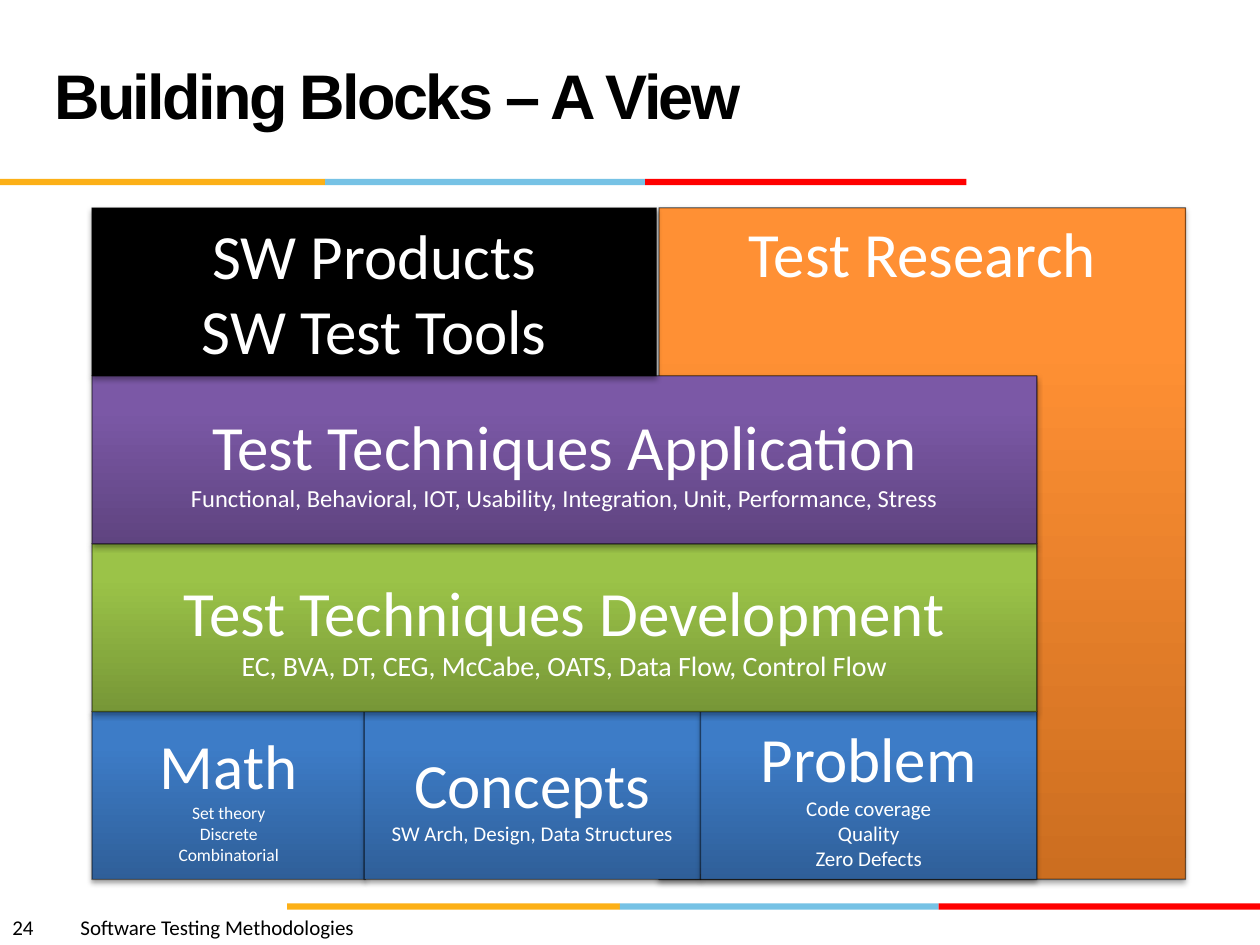
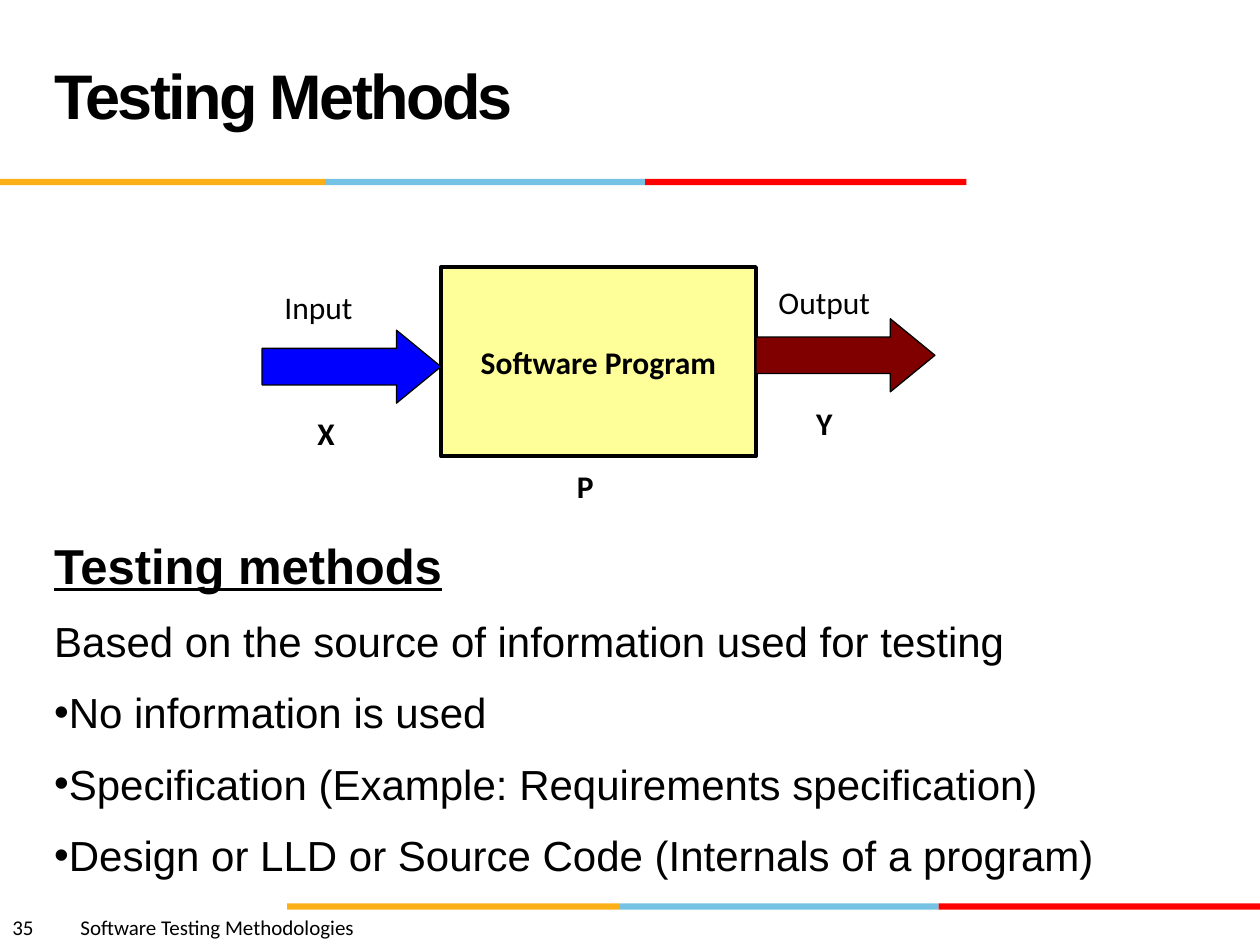
import pptx
import pptx.util
import pptx.dml.color
import pptx.enum.text
import pptx.enum.shapes
import pptx.oxml.ns
import lxml.etree

Inches = pptx.util.Inches
Pt = pptx.util.Pt
Align = pptx.enum.text.PP_ALIGN
Anchor = pptx.enum.text.MSO_ANCHOR
Fit = pptx.enum.text.MSO_AUTO_SIZE
Kind = pptx.enum.shapes.MSO_SHAPE
qn = pptx.oxml.ns.qn

BLACK, WHITE = "000000", "FFFFFF"
BANDS = ["FCB017", "76C2E5", "FF0000"]
BLUE, GREEN = ("2F5F99", "3D7CC7"), ("779737", "9BC348")
PURPLE, ORANGE = ("5F4480", "7B58A6"), ("CC6E20", "FF9034")
DARK = (BLACK, BLACK)
TITLE = {"size": Pt(36), "name": "Arial", "bold": True}
BODY = {"size": Pt(24), "name": "Arial", "bold": False}
HEAD = {"size": Pt(28), "name": "Arial", "bold": True, "underline": True}
LABEL = {"size": Pt(18), "name": "Calibri"}
STRONG = {**LABEL, "bold": True}
FOOT = {"size": Pt(12), "name": "Calibri"}
MID = {"vertical_anchor": Anchor.MIDDLE, "word_wrap": False}
TOP = {"vertical_anchor": Anchor.TOP, "word_wrap": False}


def tint(color, code):
    color.rgb = pptx.dml.color.RGBColor.from_string(code)


def apply(item, look):
    for key, value in look.items():
        setattr(item, key, value)


def place(item, box):
    apply(item, dict(zip(("left", "top", "width", "height"), map(Inches, box))))


def write(frame, rows, code=BLACK, layout=None):
    for i, (text, font) in enumerate(rows):
        para = frame.paragraphs[0] if i == 0 else frame.add_paragraph()
        apply(para, layout or {})
        run = para.add_run()
        run.text = text
        apply(run.font, font)
        tint(run.font.color, code)


def draw(slide, kind, box, code, edge=None):
    shape = slide.shapes.add_shape(kind, *map(Inches, box))
    shape.shadow.inherit = False
    shape.fill.solid()
    tint(shape.fill.fore_color, code)
    if edge:
        tint(shape.line.color, BLACK)
        shape.line.width = Pt(edge)
    else:
        shape.line.fill.background()
    return shape


def label(slide, box, text, font):
    frame = slide.shapes.add_textbox(*map(Inches, box)).text_frame
    frame.word_wrap = False
    write(frame, [(text, font)])


def band(slide, top, stops):
    for left, right, code in zip(stops, stops[1:], BANDS):
        draw(slide, Kind.RECTANGLE, (left, top, right - left, 0.05), code)


def start(deck, layout, title, number):
    slide = deck.slides.add_slide(deck.slide_layouts[layout])
    band(slide, 7.17, [2.28, 4.92, 7.45, 10])
    band(slide, 1.42, [0, 2.58, 5.12, 7.67])
    label(slide, (0, 7.21, 0.5, 0.3), number, FOOT)
    label(slide, (0.54, 7.21, 4.4, 0.3), "Software Testing Methodologies", FOOT)
    place(slide.shapes.title, (0.33, 0.17, 6.92, 1.25))
    frame = slide.shapes.title.text_frame
    apply(frame, {"vertical_anchor": Anchor.MIDDLE, "auto_size": Fit.NONE, "word_wrap": True})
    write(frame, [(title, TITLE)], BLACK, {"alignment": Align.LEFT, "line_spacing": Pt(36)})
    frame.paragraphs[0].runs[0].font._element.set("spc", "-150")
    return slide


def fade(color, share):
    alpha = lxml.etree.SubElement(color, qn("a:alpha"))
    alpha.set("val", str(share * 1000))


def shade(shape):
    props = shape.element.spPr
    fade(props.find(qn("a:ln")).find(".//" + qn("a:srgbClr")), 50)
    outer = lxml.etree.SubElement(props.find(qn("a:effectLst")), qn("a:outerShdw"))
    facts = {"blurRad": Pt(3.1), "dist": Pt(1.8), "dir": 5400000, "rotWithShape": 0}
    for key, value in facts.items():
        outer.set(key, str(int(value)))
    color = lxml.etree.SubElement(outer, qn("a:srgbClr"))
    color.set("val", BLACK)
    fade(color, 35)


def block(slide, box, pair, heads, notes=(), size=12, frame=MID):
    shape = draw(slide, Kind.RECTANGLE, box, pair[0], 0.75)
    if pair != DARK:
        shape.fill.gradient()
        shape.fill.gradient_angle = 90
        for stop, code, spot in zip(shape.fill.gradient_stops, pair, (0, 0.8)):
            tint(stop.color, code)
            stop.position = spot
    shade(shape)
    apply(shape.text_frame, frame)
    rows = [(text, {"size": Pt(36), "name": "Calibri"}) for text in heads]
    rows += [(text, {"size": Pt(size), "name": "Calibri"}) for text in notes]
    write(shape.text_frame, rows, WHITE, {"alignment": Align.CENTER})


def wall(slide, box):
    left, top, width, height = box
    step = height / 4
    rows = [top + step * i for i in range(4)]
    block(slide, (left + 4.5, top, width - 4.5, height), ORANGE, ["Test Research"], frame=TOP)
    base = [
        (0, 2.17, "Math", ["Set theory", "Discrete", "Combinatorial"], 10),
        (2.16, 2.67, "Concepts", ["SW Arch, Design, Data Structures"], 12),
        (4.83, 2.67, "Problem", ["Code coverage", "Quality", "Zero Defects"], 12),
    ]
    for shift, wide, head, notes, size in base:
        block(slide, (left + shift, rows[3], wide, step), BLUE, [head], notes, size)
    block(slide, (left, rows[2], 7.5, step), GREEN, ["Test Techniques Development"],
          ["EC, BVA, DT, CEG, McCabe, OATS, Data Flow, Control Flow"], 16)
    block(slide, (left, rows[1], 7.5, step), PURPLE, ["Test Techniques Application"],
          ["Functional, Behavioral, IOT, Usability, Integration, Unit, Performance, Stress"], 14)
    block(slide, (left, top, 4.48, step), DARK, ["SW Products", "SW Test Tools"])


def flow(slide, box):
    left, top, width, height = box
    core = draw(slide, Kind.RECTANGLE, (left + 1.42, top, width - 2.84, height), "FFFF99", 2.25)
    apply(core.text_frame, MID)
    write(core.text_frame, [("Software Program", STRONG)], BLACK, {"alignment": Align.CENTER})
    for x, y, code in [(0, 0.5, "0000FF"), (width - 1.42, 0.41, "800000")]:
        arrow = draw(slide, Kind.RIGHT_ARROW, (left + x, top + y, 1.42, 0.58), code, 0.75)
        arrow.adjustments[1] = 0.61
    marks = [
        (0.08, 0.12, 0.76, "Input", LABEL),
        (4, 0.08, 0.95, "Output", LABEL),
        (0.34, 1.12, 0.37, "X", STRONG),
        (2.4, 1.54, 0.37, "P", STRONG),
        (4.3, 1.04, 0.37, "Y", STRONG),
    ]
    for x, y, wide, text, font in marks:
        label(slide, (left + x, top + y, wide, 0.4), text, font)


def points(slide, box):
    body = slide.placeholders[1]
    place(body, box)
    frame = body.text_frame
    apply(frame, {"auto_size": Fit.NONE, "word_wrap": True, "vertical_anchor": Anchor.TOP})
    rows = [
        ("Testing methods", HEAD),
        ("Based on the source of information used for testing", BODY),
        ("No information is used", BODY),
        ("Specification (Example: Requirements specification)", BODY),
        ("Design or LLD or Source Code (Internals of a program)", BODY),
    ]
    write(frame, rows, BLACK, {"space_before": Pt(6), "space_after": Pt(6)})
    for i, para in enumerate(frame.paragraphs):
        props = para._p.get_or_add_pPr()
        props.set("marL", "0")
        props.set("indent", "0")
        if i < 2:
            lxml.etree.SubElement(props, qn("a:buNone"))
        else:
            lxml.etree.SubElement(props, qn("a:buChar")).set("char", "•")


def main():
    deck = pptx.Presentation()
    apply(deck, {"slide_width": Inches(10), "slide_height": Inches(7.5)})
    wall(start(deck, 5, "Building Blocks – A View", "24"), (0.73, 1.65, 8.68, 5.33))
    slide = start(deck, 1, "Testing Methods", "35")
    points(slide, (0.33, 4.2, 9.31, 2.86))
    flow(slide, (2.08, 2.12, 5.34, 1.5))
    deck.save("out.pptx")


if __name__ == "__main__":
    main()
